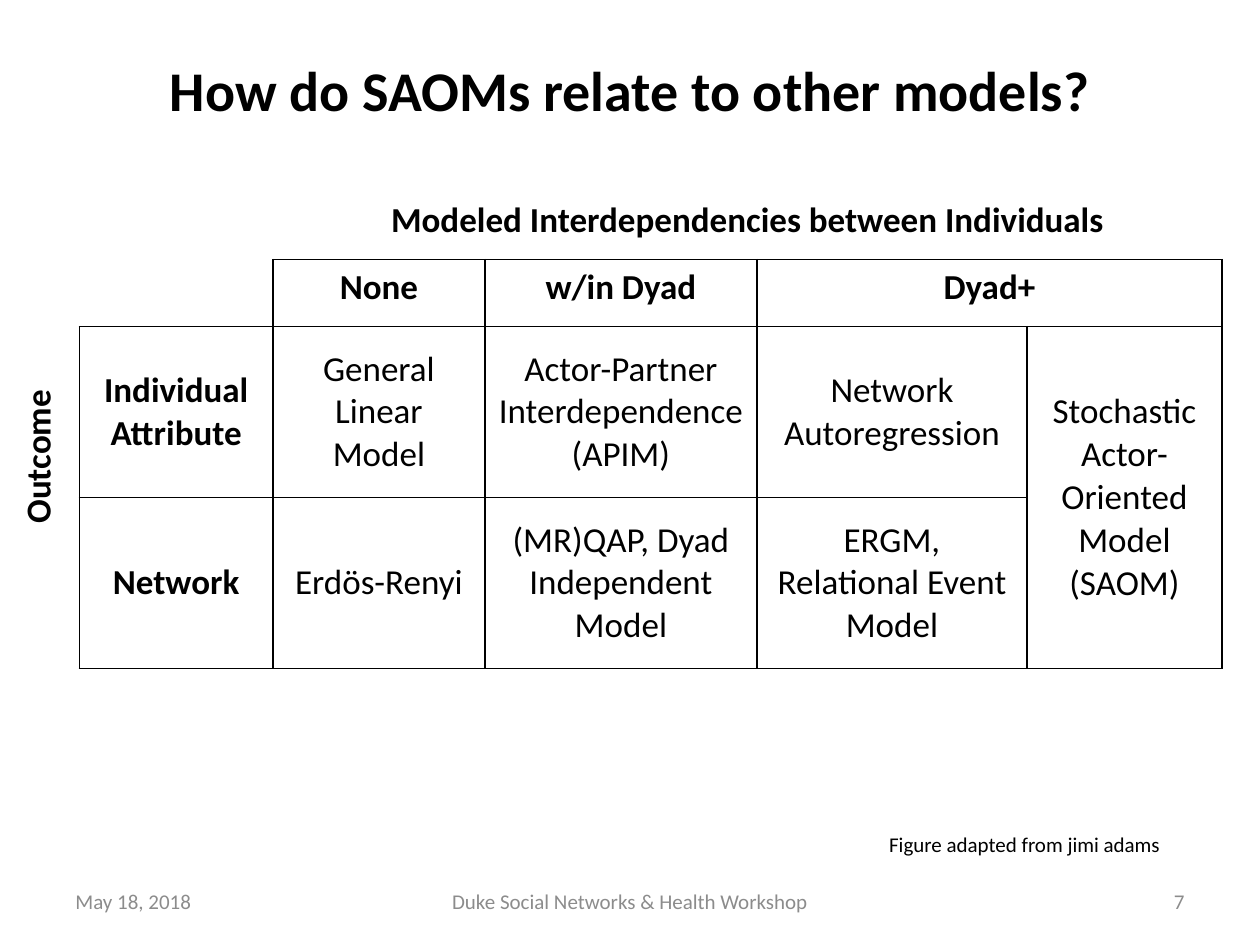
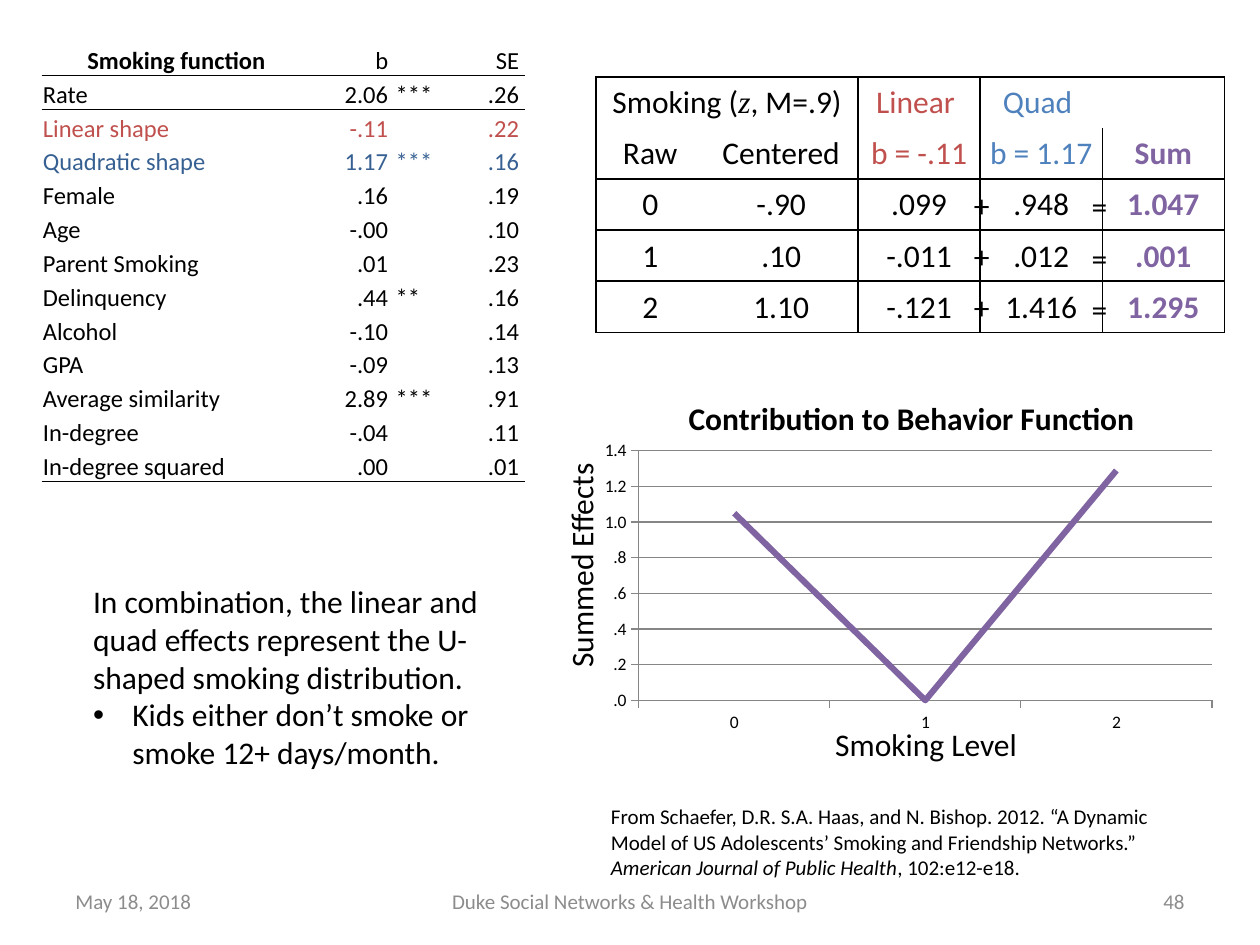
from collections import namedtuple

from lxml import etree
from pptx import Presentation
from pptx import util as u
from pptx.chart import data as chart_data
from pptx.dml import color
from pptx.enum import chart as charts
from pptx.enum import text as texts
from pptx.oxml import ns

COLORS = {
    "ink": "000000", "paper": "FFFFFF", "footer": "8C8C8C", "grid": "868686",
    "linear": "C0504D", "quad": "4F81BD", "quad_dark": "376092", "sum": "8064A2",
}
FONT = "Calibri"
PLAIN_TABLE = "{2D5ABB26-0587-4C30-8999-92F81FD0307C}"
LEFT, CENTER, RIGHT = texts.PP_ALIGN.LEFT, texts.PP_ALIGN.CENTER, texts.PP_ALIGN.RIGHT
TOP, MIDDLE = texts.MSO_ANCHOR.TOP, texts.MSO_ANCHOR.MIDDLE
ALL_SIDES = "LRTB"

Box = namedtuple("Box", "left top width height")


def points(box):
    """Return the four lengths of a box in points."""
    return [u.Pt(length) for length in box]


def rgb(name):
    """Look up a named colour."""
    return color.RGBColor.from_string(COLORS[name])


def set_font(font, size=18, bold=False, italic=False, ink="ink", face=FONT):
    """Format one font object."""
    font.size, font.bold, font.italic, font.name = u.Pt(size), bold, italic, face
    font.color.rgb = rgb(ink)


def write(frame, text, align=LEFT, spacing=None, **style):
    """Fill a text frame with lines, or with one line of (text, style) spans."""
    lines = [[(line, {})] for line in text.split("\n")] if isinstance(text, str) else [text]
    for number, spans in enumerate(lines):
        para = frame.add_paragraph() if number else frame.paragraphs[0]
        para.alignment = align
        if spacing:
            para.line_spacing = spacing
        for words, changes in spans:
            if words:
                span = para.add_run()
                span.text = words
                set_font(span.font, **{**style, **changes})
            else:
                para._p.get_or_add_endParaRPr().set("sz", str(style["size"] * 100))


def add_text(page, box, text, wrap=True, anchor=TOP, rotation=0, **style):
    """Add a formatted text box."""
    shape = page.shapes.add_textbox(*points(box))
    shape.rotation = rotation
    frame = shape.text_frame
    frame.word_wrap, frame.vertical_anchor = wrap, anchor
    write(frame, text, **style)
    return frame


def add_bullet(para, indent):
    """Give a paragraph a hanging bullet."""
    props = para._p.get_or_add_pPr()
    props.set("marL", str(u.Pt(indent)))
    props.set("indent", str(-u.Pt(indent)))
    etree.SubElement(props, ns.qn("a:buFont")).set("typeface", "Arial")
    etree.SubElement(props, ns.qn("a:buChar")).set("char", "•")


def add_footer(page, number):
    """Add the date, event and slide number."""
    parts = [
        (36, 168, "May 18, 2018", LEFT),
        (246, 228, "Duke Social Networks & Health Workshop", CENTER),
        (516, 168, str(number), RIGHT),
    ]
    for left, width, text, align in parts:
        add_text(page, Box(left, 500.4, width, 28.8), text, anchor=MIDDLE,
                 align=align, size=12, ink="footer")


def add_grid(page, box, widths, heights):
    """Add an unstyled table with the given column widths and row heights."""
    table = page.shapes.add_table(len(heights), len(widths), *points(box)).table
    table._tbl.tblPr.find(ns.qn("a:tableStyleId")).text = PLAIN_TABLE
    table.first_row = table.horz_banding = False
    for column, width in zip(table.columns, widths):
        column.width = u.Pt(width)
    for row, height in zip(table.rows, heights):
        row.height = u.Pt(height)
    return table


def format_cell(cell, sides="", fill=None, anchor=MIDDLE, margins=None):
    """Set the borders, fill, anchor and margins of a cell."""
    props = cell._tc.get_or_add_tcPr()
    for side in ALL_SIDES:
        if side in sides:
            line = etree.SubElement(props, ns.qn(f"a:ln{side}"), w=str(u.Pt(1)))
            solid = etree.SubElement(line, ns.qn("a:solidFill"))
            etree.SubElement(solid, ns.qn("a:srgbClr"), val=COLORS["ink"])
    if fill:
        cell.fill.solid()
        cell.fill.fore_color.rgb = rgb(fill)
    else:
        cell.fill.background()
    cell.vertical_anchor = anchor
    if margins:
        (cell.margin_left, cell.margin_top,
         cell.margin_right, cell.margin_bottom) = points(margins)


def add_model_table(page, box):
    """Add the table of models by outcome and interdependency."""
    rows = [
        ["", "Modeled Interdependencies between Individuals", "", "", ""],
        ["", "None", "w/in Dyad", "Dyad+", ""],
        ["Individual Attribute", "General Linear Model",
         "Actor-Partner Interdependence (APIM)", "Network Autoregression",
         "Stochastic Actor-Oriented Model (SAOM)"],
        ["Network", "Erdös-Renyi", "(MR)QAP, Dyad Independent Model",
         "ERGM,\nRelational Event Model", ""],
    ]
    table = add_grid(page, box, [110.6, 121.1, 155.5, 154.3, 111.4], [38.2, 38.2, 97.7, 97.7])
    for first, last in [((0, 1), (0, 4)), ((1, 3), (1, 4)), ((2, 4), (3, 4))]:
        table.cell(*first).merge(table.cell(*last))
    sides = {(0, 0): "", (1, 0): "RB", (1, 4): "RTB", (3, 4): "LRB"}
    sides.update({(0, col): "B" for col in range(1, 5)})
    for r, row in enumerate(rows):
        for c, words in enumerate(row):
            cell = table.cell(r, c)
            format_cell(cell, sides.get((r, c), ALL_SIDES), anchor=TOP if r < 2 else MIDDLE)
            write(cell.text_frame, words, align=CENTER, size=20, bold=r < 2 or c == 0)


def add_estimate_table(page, box):
    """Add the table of smoking function estimates."""
    rows = [
        ("Smoking function", "b", "", "SE"),
        ("Rate", "2.06", "***", ".26"),
        ("Linear shape", "-.11", "", ".22"),
        ("Quadratic shape", "1.17", "***", ".16"),
        ("Female", ".16", "", ".19"),
        ("Age", "-.00", "", ".10"),
        ("Parent Smoking", ".01", "", ".23"),
        ("Delinquency", ".44", "**", ".16"),
        ("Alcohol", "-.10", "", ".14"),
        ("GPA", "-.09", "", ".13"),
        ("Average similarity", "2.89", "***", ".91"),
        ("In-degree", "-.04", "", ".11"),
        ("In-degree squared", ".00", "", ".01"),
    ]
    inks = {2: "linear", 3: "quad_dark"}
    table = add_grid(page, box, [157, 44.6, 33.8, 41], [box.height / len(rows)] * len(rows))
    for r, row in enumerate(rows):
        for c, words in enumerate(row):
            cell = table.cell(r, c)
            heading = r == 0 and c == 0
            format_cell(cell, "B" if r in (0, 1, len(rows) - 1) else "", fill="paper",
                        anchor=TOP if c == 2 else MIDDLE, margins=(0.7, 0, 3.6, 0))
            write(cell.text_frame, words, spacing=1.15, size=14, bold=heading,
                  align=CENTER if heading else RIGHT if c in (1, 3) else LEFT,
                  ink=inks.get(r, "ink"))


def add_sum_table(page, box):
    """Add the table that sums both effects, with its operators on top."""
    heading = [("Smoking (", {}), ("z", {"face": "Times New Roman", "italic": True}),
               (", M=.9)", {})]
    rows = [
        (heading, "", "Linear ", "Quad ", ""),
        ("Raw", "Centered", "b = -.11", "b = 1.17", "Sum"),
        ("0", "-.90", ".099", ".948", "1.047"),
        ("1", ".10", "-.011", ".012", ".001"),
        ("2", "1.10", "-.121", "1.416", "1.295"),
    ]
    step = box.height / len(rows)
    table = add_grid(page, box, [61.9, 87.8, 69.8, 69.8, 69.8], [step] * len(rows))
    table.cell(0, 0).merge(table.cell(0, 1))
    heading_inks = {2: "linear", 3: "quad"}
    for r, row in enumerate(rows):
        for c, words in enumerate(row):
            cell = table.cell(r, c)
            sides = (("L" if c in (0, 2, 3) else "") + ("R" if c == 4 else "")
                     + ("T" if r in (0, 2, 3) else "") + ("B" if r == 4 else ""))
            ink = "sum" if c == 4 else heading_inks.get(c, "ink") if r < 2 else "ink"
            format_cell(cell, sides, margins=(0.7, 0.7, 0.7, 0))
            write(cell.text_frame, words, align=CENTER, size=18, bold=c == 4, ink=ink)
    for r in range(2, len(rows)):
        for sign, left, drop in [("+", 208.8, 0.6), ("=", 276.2, 1.3)]:
            add_text(page, Box(box.left + left, box.top + r * step + drop, 23.8, 28.8),
                     sign, wrap=False)


def set_layout(parent, index, **places):
    """Fix the place of a chart part as fractions of the chart."""
    old = parent.find(ns.qn("c:layout"))
    if old is not None:
        parent.remove(old)
    layout = etree.Element(ns.qn("c:layout"))
    manual = etree.SubElement(layout, ns.qn("c:manualLayout"))
    for name, value in places.items():
        etree.SubElement(manual, ns.qn(f"c:{name}")).set("val", str(value))
    parent.insert(index, layout)


def add_contribution_chart(page, box):
    """Add the line chart and its axis captions."""
    title = "Contribution to Behavior Function"
    data = chart_data.CategoryChartData(number_format="#.0")
    data.categories = ["0", "1", "2"]
    data.add_series(title, [1.05, 0, 1.29])
    chart = page.shapes.add_chart(charts.XL_CHART_TYPE.LINE, *points(box), data).chart
    chart.has_legend = False
    set_font(chart.font, size=10)
    chart.has_title = True
    write(chart.chart_title.text_frame, title, align=CENTER, size=18, bold=True)
    set_layout(chart.chart_title._element, 1, xMode="edge", yMode="edge", x=0.14, y=0.07)
    set_layout(chart._chartSpace.chart.plotArea, 0, layoutTarget="inner", xMode="edge",
               yMode="edge", x=0.07, y=0.23, w=0.91, h=0.66)

    chart.plots[0].vary_by_categories = False
    series = chart.plots[0].series[0]
    series.smooth = False
    series.marker.style = charts.XL_MARKER_STYLE.NONE
    series.format.line.color.rgb = rgb("sum")
    series.format.line.width = u.Pt(3.5)

    values = chart.value_axis
    values.minimum_scale, values.maximum_scale, values.major_unit = 0, 1.4, 0.2
    values.tick_labels.number_format = "#.0"
    values.tick_labels.number_format_is_linked = False
    values.has_major_gridlines = True
    for axis in (values, chart.category_axis):
        axis.major_tick_mark = charts.XL_TICK_MARK.OUTSIDE
        axis.minor_tick_mark = charts.XL_TICK_MARK.NONE
    for part in (values, values.major_gridlines, chart.category_axis):
        part.format.line.color.rgb = rgb("grid")
        part.format.line.width = u.Pt(0.75)

    add_text(page, Box(box.left + 130.4, box.top + 203, 119.5, 28.8), "Smoking Level", wrap=False)
    add_text(page, Box(box.left - 74.8, box.top + 99.4, 133.9, 28.8), "Summed Effects",
             wrap=False, rotation=270)


def build_models_slide(deck):
    """Build the slide that compares model families."""
    page = deck.slides.add_slide(deck.slide_layouts[5])
    title = page.shapes.title
    title.left, title.top, title.width, title.height = points(Box(36, 5.8, 648, 90))
    title.text_frame.vertical_anchor = MIDDLE
    write(title.text_frame, "How do SAOMs relate to other models?",
          align=CENTER, size=32, bold=True)
    add_text(page, Box(-25.9, 242.6, 95, 32.4), "Outcome", rotation=270, size=20, bold=True)
    add_text(page, Box(501, 471.6, 172, 21.6), "Figure adapted from jimi adams",
             wrap=False, size=12)
    add_model_table(page, Box(45.4, 110.2, 652.9, 271.8))
    add_footer(page, 7)


def build_smoking_slide(deck):
    """Build the slide on the smoking function."""
    page = deck.slides.add_slide(deck.slide_layouts[6])
    citation = [
        ("From Schaefer, D.R. S.A. Haas, and N. Bishop. 2012. “A Dynamic Model of US "
         "Adolescents’ Smoking and Friendship Networks.” ", {}),
        ("American Journal of Public Health", {"italic": True}),
        (", 102:e12-e18.", {}),
    ]
    add_text(page, Box(342, 455.8, 342, 51), citation, size=12)
    add_estimate_table(page, Box(23.8, 23.8, 276.4, 251.3))
    add_footer(page, 48)
    summary = add_text(
        page, Box(46.1, 329, 270.7, 116.6),
        "In combination, the linear and quad effects represent the U-shaped smoking "
        "distribution.\nKids either don’t smoke or smoke 12+ days/month.")
    add_bullet(summary.paragraphs[1], 22.5)
    add_contribution_chart(page, Box(339.8, 208, 360, 216))
    add_sum_table(page, Box(340.6, 43.9, 359.1, 146))


def main():
    """Build and save the deck."""
    deck = Presentation()
    deck.slide_width, deck.slide_height = u.Pt(720), u.Pt(540)
    build_models_slide(deck)
    build_smoking_slide(deck)
    deck.save("out.pptx")


if __name__ == "__main__":
    main()
